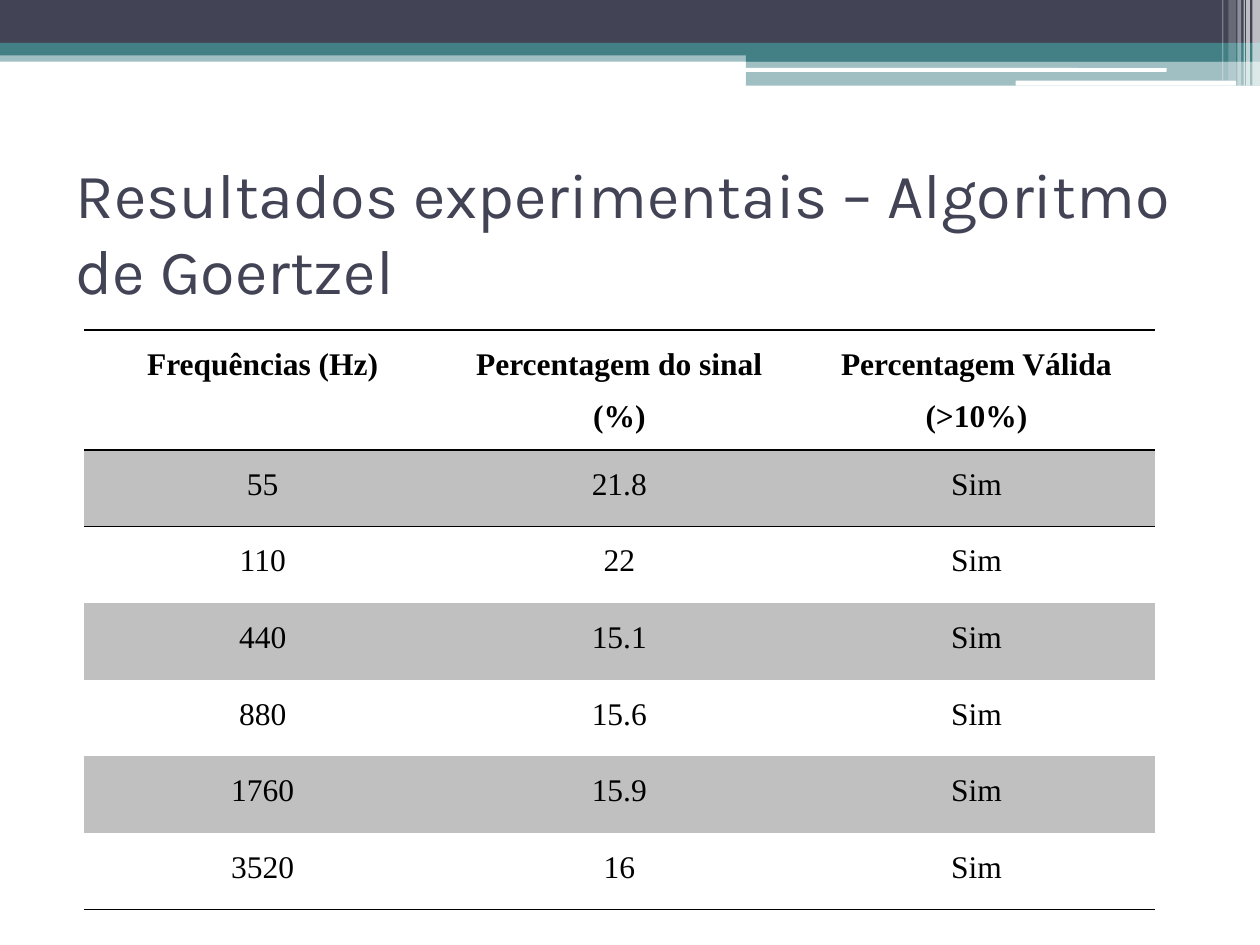
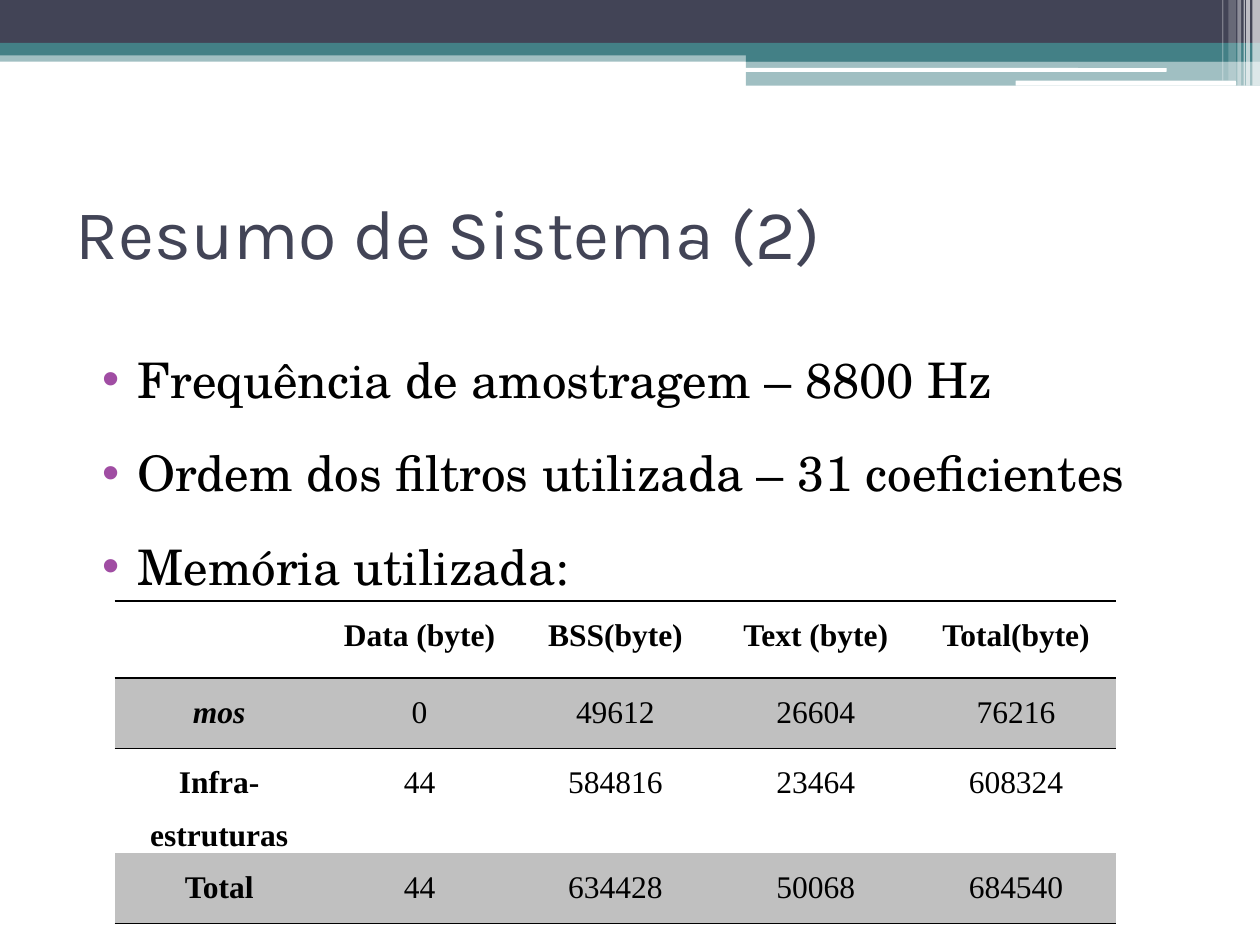
from lxml import etree
from pptx import Presentation, util as u
from pptx.dml.color import RGBColor
from pptx.enum import shapes, text
from pptx.oxml.ns import qn

COLS, ROWS = 100, 75
NO_GRID_STYLE = "{2D5ABB26-0587-4C30-8999-92F81FD0307C}"


def rgb(hex_text):
    return RGBColor.from_string(hex_text)


class Deck:
    dark, teal, white = "424456", "438086", "FFFFFF"
    black, grey, bullet = "000000", "C0C0C0", "A04DA3"
    title_font, body_font, table_font = "Karla", "TeX Gyre Schola", "Times New Roman"

    def __init__(self):
        self.prs = Presentation()
        self.prs.slide_width, self.prs.slide_height = u.Inches(10), u.Inches(7.5)
        self.s = None

    def x(self, cols):
        return round(self.prs.slide_width * cols / COLS)

    def y(self, rows):
        return round(self.prs.slide_height * rows / ROWS)

    def box(self, left, top, width, height):
        return self.x(left), self.y(top), self.x(width), self.y(height)

    def place(self, sp, area):
        sp.left, sp.top, sp.width, sp.height = self.box(*area)

    def slide(self, layout):
        self.s = self.prs.slides.add_slide(self.prs.slide_layouts.get_by_name(layout))
        for ph in list(self.s.placeholders):
            if ph.placeholder_format.idx > 1:
                ph.element.getparent().remove(ph.element)

    def run(self, p, words, font, size, color, bold=False, italic=False):
        r = p.add_run()
        r.text = words
        r.font.name, r.font.size = font, u.Pt(size)
        r.font.bold, r.font.italic = bold, italic
        r.font.color.rgb = rgb(color)

    def band(self, area, color, opacity=100, rounded=False):
        kind = shapes.MSO_SHAPE.ROUNDED_RECTANGLE if rounded else shapes.MSO_SHAPE.RECTANGLE
        sp = self.s.shapes.add_shape(kind, *self.box(*area))
        sp.shadow.inherit = False
        sp.fill.solid()
        sp.fill.fore_color.rgb = rgb(color)
        sp.line.fill.background()
        if opacity < 100:
            clr = sp.element.spPr.find(qn("a:solidFill"))[0]
            etree.SubElement(clr, qn("a:alpha"), val=str(opacity * 1000))
        tree = self.prs.slide_master.element.cSld.spTree
        sp.element.nvSpPr.cNvPr.set("id", str(100 + len(tree)))
        tree.append(sp.element)

    def master_bands(self):
        self.band((0, 4, 100, 0.9), self.teal, 50)
        self.band((0, 0, 100, 3.4), self.dark)
        self.band((0, 3.4, 100, 1), self.teal)
        self.band((59.2, 3.9, 40.8, 1), self.teal)
        self.band((59.2, 4.85, 40.8, 1.95), self.teal, 50)
        self.band((59.1, 5.4, 33.5, 0.3), self.white, rounded=True)
        self.band((80.6, 6.4, 17.5, 0.4), self.white, rounded=True)
        stripes = [(99.4, 0.6, 6.8, 65), (98.9, 0.3, 6.8, 65), (98.7, 0.1, 6.8, 60),
                   (98.2, 0.3, 6.8, 40), (97.5, 0.6, 6.4, 20), (97, 0.1, 6.4, 30)]
        for left, width, height, opacity in stripes:
            self.band((left, 0, width, height), self.white, opacity)

    def title(self, words, size):
        sp = self.s.shapes.title
        self.place(sp, (5, 12.5, 90, 11.7))
        tf = sp.text_frame
        tf.auto_size = text.MSO_AUTO_SIZE.NONE
        tf.vertical_anchor = text.MSO_ANCHOR.MIDDLE
        p = tf.paragraphs[0]
        p.alignment = text.PP_ALIGN.LEFT
        self.run(p, words, self.title_font, size, self.dark)

    def bullets(self, area, items):
        sp = self.s.placeholders[1]
        self.place(sp, area)
        tf = sp.text_frame
        tf.auto_size = text.MSO_AUTO_SIZE.NONE
        for i, item in enumerate(items):
            p = tf.add_paragraph() if i else tf.paragraphs[0]
            p.line_spacing, p.space_before = 1.5, u.Pt(3)
            self.run(p, item, self.body_font, 28, self.black)
            pPr = p._p.get_or_add_pPr()
            pPr.set("marL", str(u.Inches(0.4)))
            pPr.set("indent", str(u.Inches(-0.28)))
            clr = etree.SubElement(pPr, qn("a:buClr"))
            etree.SubElement(clr, qn("a:srgbClr"), val=self.bullet)
            etree.SubElement(pPr, qn("a:buChar"), char="•")

    def border(self, cell, side):
        ln = etree.SubElement(cell._tc.get_or_add_tcPr(), qn("a:" + side), w=str(u.Pt(1)))
        fill = etree.SubElement(ln, qn("a:solidFill"))
        etree.SubElement(fill, qn("a:srgbClr"), val=self.black)

    def cell(self, cell, words, shaded, sides, bold, italic):
        cell.margin_left = cell.margin_right = u.Inches(0.07)
        cell.margin_top = cell.margin_bottom = 0
        for side in sides:
            self.border(cell, side)
        if shaded:
            cell.fill.solid()
            cell.fill.fore_color.rgb = rgb(self.grey)
        else:
            cell.fill.background()
        p = cell.text_frame.paragraphs[0]
        p.alignment, p.line_spacing = text.PP_ALIGN.CENTER, 1.5
        if words:
            self.run(p, words, self.table_font, 18, self.black, bold, italic)

    def table(self, left, top, widths, heights, rows, row_heads=False, italics=()):
        area = self.box(left, top, sum(widths), sum(heights))
        frame = self.s.shapes.add_table(len(rows), len(widths), *area)
        tbl = frame.table
        tbl.first_row = tbl.horz_banding = False
        next(frame.element.iter(qn("a:tableStyleId"))).text = NO_GRID_STYLE
        for col, width in zip(tbl.columns, widths):
            col.width = self.x(width)
        last = len(rows) - 1
        for i, row in enumerate(rows):
            tbl.rows[i].height = self.y(heights[i])
            sides = ["lnT"] * (i < 2) + ["lnB"] * (i in (0, last))
            for j, words in enumerate(row):
                bold = i == 0 or (row_heads and j == 0)
                self.cell(tbl.cell(i, j), words, i % 2 == 1, sides, bold, words in italics)


deck = Deck()

deck.slide("Title Only")
deck.master_bands()
deck.title("Resultados experimentais – Algoritmo de Goertzel", 36)
signals = [("55", "21.8"), ("110", "22"), ("440", "15.1"),
           ("880", "15.6"), ("1760", "15.9"), ("3520", "16")]
deck.table(6.7, 26.2, [28.3, 28.3, 28.4], [9.5] + [6.08] * len(signals),
           [("Frequências (Hz)", "Percentagem do sinal (%)", "Percentagem Válida (>10%)")]
           + [(freq, share, "Sim") for freq, share in signals])

deck.slide("Title and Content")
deck.title("Resumo de Sistema (2)", 40)
deck.bullets((5.9, 24.9, 90, 23.9), [
    "Frequência de amostragem – 8800 Hz",
    "Ordem dos filtros utilizada – 31 coeficientes",
    "Memória utilizada:",
])
deck.table(9.1, 47.7, [16.6, 15.2, 15.9, 15.9, 15.9], [6.1, 5.6, 7.7, 5.6], [
    ("", "Data (byte)", "BSS(byte)", "Text (byte)", "Total(byte)"),
    ("mos", "0", "49612", "26604", "76216"),
    ("Infra-estruturas", "44", "584816", "23464", "608324"),
    ("Total", "44", "634428", "50068", "684540"),
], row_heads=True, italics=("mos",))

deck.prs.save("out.pptx")
